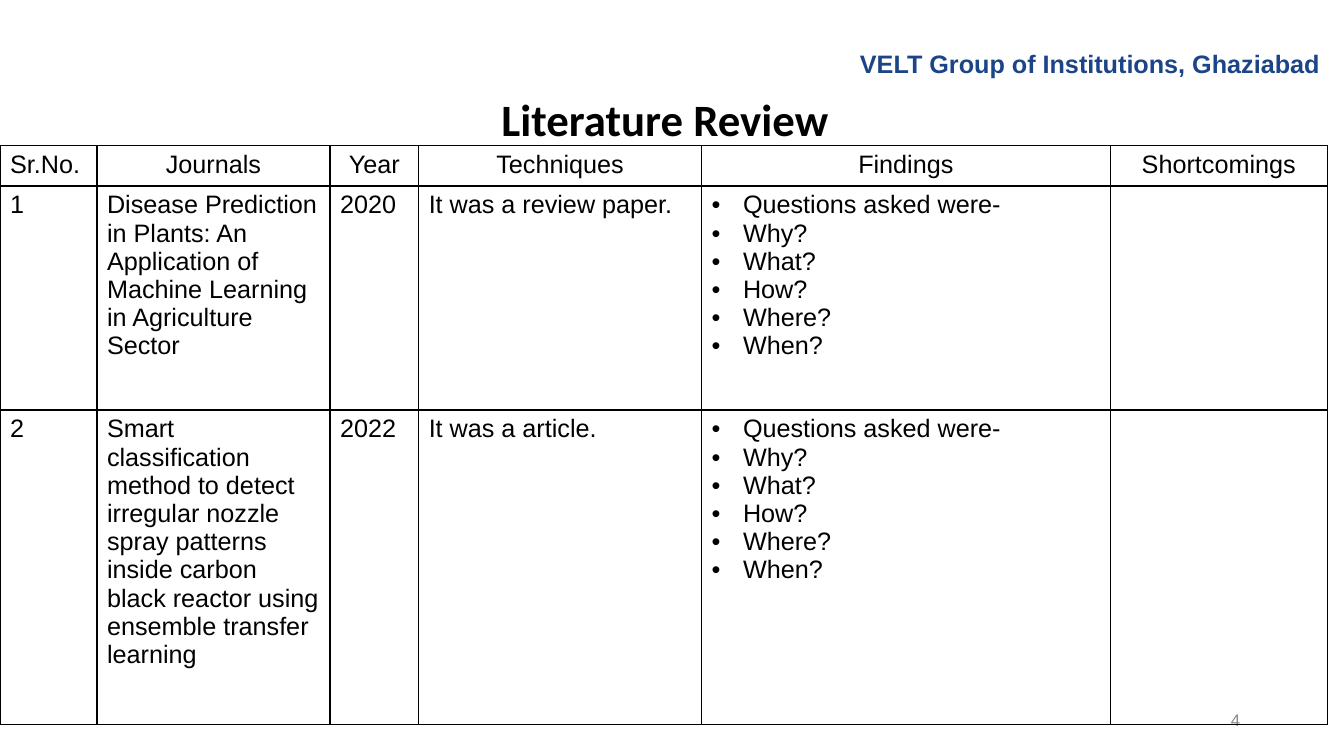
from lxml.etree import SubElement as Sub
from pptx import Presentation
from pptx.dml.color import RGBColor as RGB
from pptx.enum.text import MSO_ANCHOR as Anchor, PP_ALIGN as Align
from pptx.oxml import parse_xml
from pptx.oxml.ns import nsdecls, qn
from pptx.util import Pt

BLACK = RGB(0x00, 0x00, 0x00)
NAVY = RGB(0x1C, 0x45, 0x87)
GRAY = RGB(0x88, 0x88, 0x88)


class Page:
    """Holds the style and the current slide."""
    font, size, indent, border = "Arial", 18, 22.5, 1

    def __init__(self, slide):
        self.slide = slide

    def add_text(self, paragraph, text, align=Align.LEFT, size=None, color=BLACK,
                 bold=False, font=None):
        paragraph.alignment = align
        run = paragraph.add_run()
        run.text = text
        run.font.name = font or self.font
        run.font.size = Pt(size or self.size)
        run.font.bold = bold
        run.font.color.rgb = color

    def label(self, text, left, top, width, height, anchor=Anchor.TOP,
              spacing=1.0, **style):
        box = self.slide.shapes.add_textbox(Pt(left), Pt(top), Pt(width), Pt(height))
        frame = box.text_frame
        frame.word_wrap = True
        frame.vertical_anchor = anchor
        frame.paragraphs[0].line_spacing = spacing
        self.add_text(frame.paragraphs[0], text, **style)

    def bullet(self, paragraph):
        props = paragraph._p.get_or_add_pPr()
        props.set("marL", str(Pt(self.indent)))
        props.set("indent", str(-Pt(self.indent)))
        Sub(props, qn("a:buFont")).set("typeface", self.font)
        Sub(props, qn("a:buChar")).set("char", "•")

    def outline(self, cell):
        cell.fill.background()
        props = cell._tc.get_or_add_tcPr()
        for place, side in enumerate("LRTB"):
            props.insert(place, parse_xml(
                f'<a:ln{side} {nsdecls("a")} w="{Pt(self.border)}"><a:solidFill>'
                f'<a:srgbClr val="{BLACK}"/></a:solidFill></a:ln{side}>'))

    def fill_cell(self, cell, content, align):
        self.outline(cell)
        bulleted = isinstance(content, list)
        frame = cell.text_frame
        for index, line in enumerate(content if bulleted else [content]):
            paragraph = frame.add_paragraph() if index else frame.paragraphs[0]
            if line:
                self.add_text(paragraph, line, align)
            if bulleted:
                self.bullet(paragraph)

    def table(self, rows, left, top, widths, heights):
        grid = self.slide.shapes.add_table(
            len(rows), len(widths), Pt(left), Pt(top),
            Pt(sum(widths)), Pt(sum(heights))).table
        grid.first_row = grid.horz_banding = False
        for column, width in zip(grid.columns, widths):
            column.width = Pt(width)
        for r, (row, height) in enumerate(zip(rows, heights)):
            grid.rows[r].height = Pt(height)
            for c, content in enumerate(row):
                centred = r == 0 and c > 0
                self.fill_cell(grid.cell(r, c), content,
                               Align.CENTER if centred else Align.LEFT)


deck = Presentation()
deck.slide_width, deck.slide_height = Pt(960), Pt(540)
page = Page(deck.slides.add_slide(deck.slide_layouts[6]))

# Page number, title and institution
page.label("4", 865.5, 500.5, 27.5, 28, anchor=Anchor.MIDDLE,
           align=Align.RIGHT, size=12, color=GRAY)
page.label("Literature Review", 37.5, 66, 875, 56, spacing=0.9,
           align=Align.CENTER, size=32, bold=True, font="Calibri")
page.label("VELT Group of Institutions, Ghaziabad", 255, 31, 695, 37.5,
           align=Align.RIGHT, color=NAVY, bold=True)

# Reviewed papers
questions = ["Questions asked were-", "Why?", "What?", "How?", "Where?", "When?"]
papers = [
    ["Sr.No.", "Journals", "Year", "Techniques", "Findings", "Shortcomings"],
    ["1", "Disease Prediction in Plants: An Application of Machine Learning "
     "in Agriculture Sector", "2020", "It was a review paper.", questions, ""],
    ["2", "Smart classification method to detect irregular nozzle spray patterns "
     "inside carbon black reactor using ensemble transfer learning",
     "2022", "It was a article.", questions, ""],
]
page.table(papers, 0, 104, widths=[69.3, 166.4, 63.4, 202, 292, 155],
           heights=[28.5, 160, 224.5])

deck.save("out.pptx")
